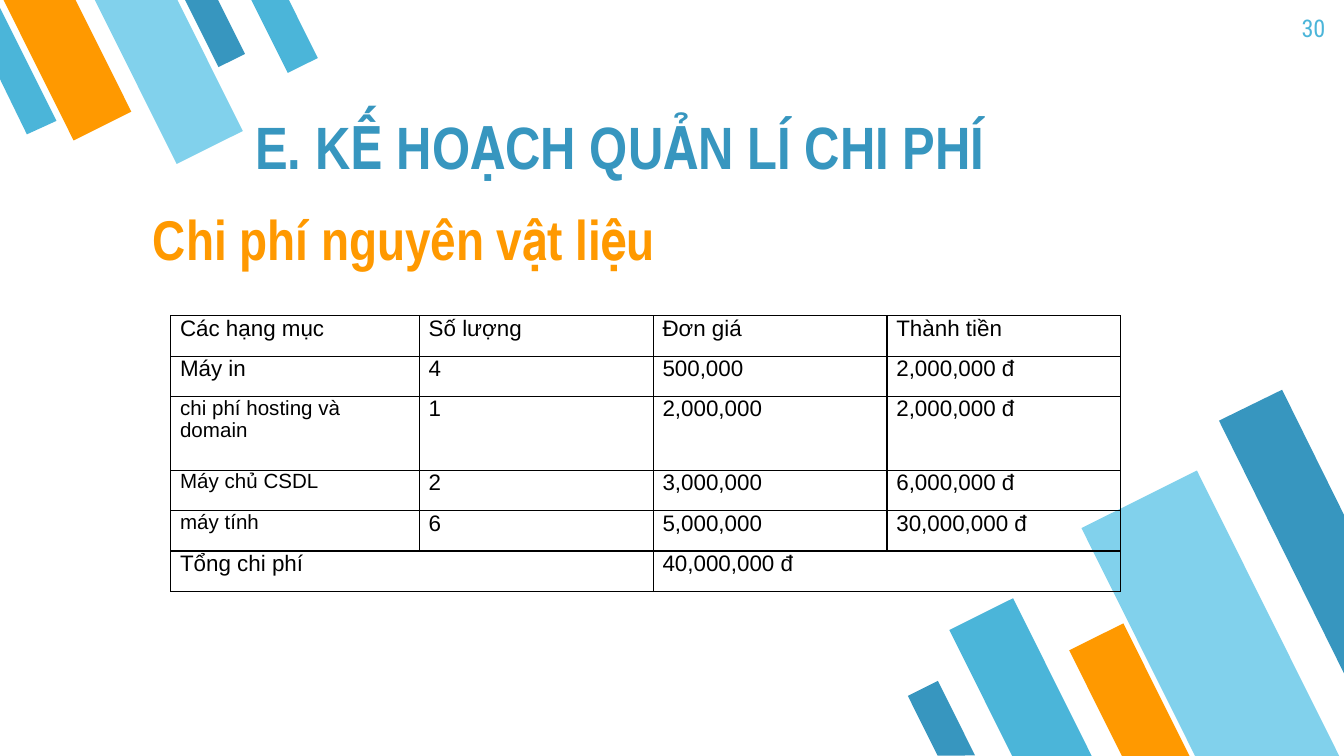
from dataclasses import dataclass

import pptx
import pptx.dml.color
import pptx.enum.shapes
import pptx.enum.text
import pptx.oxml
import pptx.oxml.ns
import pptx.util
from pptx.util import Inches

ALIGN = pptx.enum.text.PP_ALIGN
ANCHOR = pptx.enum.text.MSO_ANCHOR


@dataclass(frozen=True)
class Theme:
    sky: str = "4BB5D9"
    pale: str = "81D1EC"
    deep: str = "3796BF"
    orange: str = "FF9900"
    ink: str = "000000"
    heading_font: str = "Arial Narrow"
    number_font: str = "Roboto Condensed"
    table_font: str = "Arial"
    heading_size: float = 32
    title_size: float = 30
    number_size: float = 13
    cell_size: float = 12
    small_cell_size: float = 11
    border_width: float = 0.75


THEME = Theme()


@dataclass(frozen=True)
class Stripe:
    left: float
    top: float
    width: float
    height: float
    color: str


@dataclass(frozen=True)
class CutStripe:
    """A stripe cut off by the edge of the slide."""
    points: tuple[tuple[float, float], ...]
    color: str


BOTTOM_ANGLE, TOP_ANGLE = 153.5, 333.5
BOTTOM_STRIPES = (
    Stripe(7.33, 4.5, 0.53, 1.32, THEME.sky),
    Stripe(8.53, 3.59, 0.96, 2.39, THEME.pale),
    Stripe(8.18, 4.68, 0.45, 1.11, THEME.orange),
    Stripe(6.88, 5.09, 0.25, 0.62, THEME.deep),
)
TOP_STRIPES = (
    Stripe(1.49, -0.08, 0.22, 0.56, THEME.deep),
    Stripe(0.26, -0.18, 0.48, 1.18, THEME.orange),
    Stripe(0.98, -0.2, 0.55, 1.37, THEME.pale),
    Stripe(1.99, -0.1, 0.25, 0.62, THEME.sky),
)
RIGHT_CUT = CutStripe(((9.54, 2.9), (9.07, 3.13), (10, 5.01), (10, 3.83)), THEME.deep)
LEFT_CUT = CutStripe(((0.2, 1), (0.42, 0.9), (0, 0.06), (0, 0.59)), THEME.sky)

COLUMN_WIDTHS = (1.85, 1.74, 1.74, 1.74)
ROW_HEIGHTS = (0.3, 0.3, 0.55, 0.3, 0.3, 0.3)
COSTS = (
    ("Các hạng mục", "Số lượng", "Đơn giá", "Thành tiền"),
    ("Máy in", "4", "500,000", "2,000,000 đ"),
    ("chi phí hosting và domain", "1", "2,000,000", "2,000,000 đ"),
    ("Máy chủ CSDL", "2", "3,000,000", "6,000,000 đ"),
    ("máy tính", "6", "5,000,000", "30,000,000 đ"),
    ("Tổng chi phí", "", "40,000,000 đ", ""),
)
SMALL_LABEL_ROWS = (2, 3, 4)


def rgb(color: str) -> pptx.dml.color.RGBColor:
    return pptx.dml.color.RGBColor.from_string(color)


def paint(shape, color: str) -> None:
    shape.shadow.inherit = False
    shape.fill.solid()
    shape.fill.fore_color.rgb = rgb(color)
    shape.line.fill.background()


def draw_stripe(page, stripe: Stripe, angle: float) -> None:
    shape = page.shapes.add_shape(
        pptx.enum.shapes.MSO_SHAPE.FLOWCHART_MANUAL_INPUT,
        Inches(stripe.left), Inches(stripe.top), Inches(stripe.width), Inches(stripe.height))
    shape.rotation = angle
    shape.element.spPr.find(pptx.oxml.ns.qn("a:xfrm")).set("flipH", "1")
    paint(shape, stripe.color)


def draw_cut_stripe(page, stripe: CutStripe) -> None:
    points = [(Inches(x), Inches(y)) for x, y in stripe.points]
    builder = page.shapes.build_freeform(*points[0])
    builder.add_line_segments(points[1:], close=True)
    paint(builder.convert_to_shape(), stripe.color)


def write(frame, text: str, *, size: float, font: str, color: str,
          bold: bool = False, align=ALIGN.LEFT) -> None:
    para = frame.paragraphs[0]
    para.alignment = align
    span = para.add_run()
    span.text = text
    span.font.size = pptx.util.Pt(size)
    span.font.name = font
    span.font.bold = bold
    span.font.color.rgb = rgb(color)


def add_text(page, text: str, left: float, top: float, width: float, height: float,
             anchor=ANCHOR.BOTTOM, **text_format) -> None:
    box = page.shapes.add_textbox(Inches(left), Inches(top), Inches(width), Inches(height))
    frame = box.text_frame
    frame.word_wrap = True
    frame.vertical_anchor = anchor
    frame.margin_left = frame.margin_right = Inches(0.1)
    frame.margin_top = frame.margin_bottom = Inches(0.1)
    write(frame, text, **text_format)


def add_borders(cell) -> None:
    properties = cell._tc.get_or_add_tcPr()
    for side in ("lnL", "lnR", "lnT", "lnB"):
        properties.append(pptx.oxml.parse_xml(
            f'<a:{side} {pptx.oxml.ns.nsdecls("a")} w="{pptx.util.Pt(THEME.border_width)}">'
            f'<a:solidFill><a:srgbClr val="{THEME.ink}"/></a:solidFill></a:{side}>'))


def add_cost_table(page, left: float, top: float) -> None:
    table = page.shapes.add_table(
        len(ROW_HEIGHTS), len(COLUMN_WIDTHS), Inches(left), Inches(top),
        Inches(sum(COLUMN_WIDTHS)), Inches(sum(ROW_HEIGHTS))).table
    table.first_row = table.horz_banding = False
    for column, width in zip(table.columns, COLUMN_WIDTHS):
        column.width = Inches(width)
    for row, height in zip(table.rows, ROW_HEIGHTS):
        row.height = Inches(height)
    total = len(COSTS) - 1
    for first in (0, 2):
        table.cell(total, first).merge(table.cell(total, first + 1))
    for r, values in enumerate(COSTS):
        for c, value in enumerate(values):
            cell = table.cell(r, c)
            cell.margin_left = cell.margin_right = Inches(0.07)
            cell.margin_top = cell.margin_bottom = 0
            add_borders(cell)
            cell.fill.background()
            if value:
                small = c == 0 and r in SMALL_LABEL_ROWS
                write(cell.text_frame, value, font=THEME.table_font, color=THEME.ink,
                      size=THEME.small_cell_size if small else THEME.cell_size)


def main() -> None:
    deck = pptx.Presentation()
    deck.slide_width = Inches(10)
    deck.slide_height = Inches(10 * 9 / 16)
    page = deck.slides.add_slide(deck.slide_layouts[6])

    for stripe in BOTTOM_STRIPES:
        draw_stripe(page, stripe, BOTTOM_ANGLE)
    draw_cut_stripe(page, RIGHT_CUT)
    for stripe in TOP_STRIPES:
        draw_stripe(page, stripe, TOP_ANGLE)
    draw_cut_stripe(page, LEFT_CUT)

    add_text(page, "30", 9.36, 0, 0.6, 0.43, anchor=ANCHOR.TOP, align=ALIGN.RIGHT,
             size=THEME.number_size, font=THEME.number_font, color=THEME.sky)
    add_text(page, "E. KẾ HOẠCH QUẢN LÍ CHI PHÍ", 1.8, 0.71, 6.65, 0.74, bold=True,
             size=THEME.heading_size, font=THEME.heading_font, color=THEME.deep)
    add_text(page, "Chi phí nguyên vật liệu", 1.04, 1.38, 6.94, 0.74, bold=True,
             size=THEME.title_size, font=THEME.heading_font, color=THEME.orange)
    add_cost_table(page, 1.27, 2.35)
    deck.save("out.pptx")


if __name__ == "__main__":
    main()
